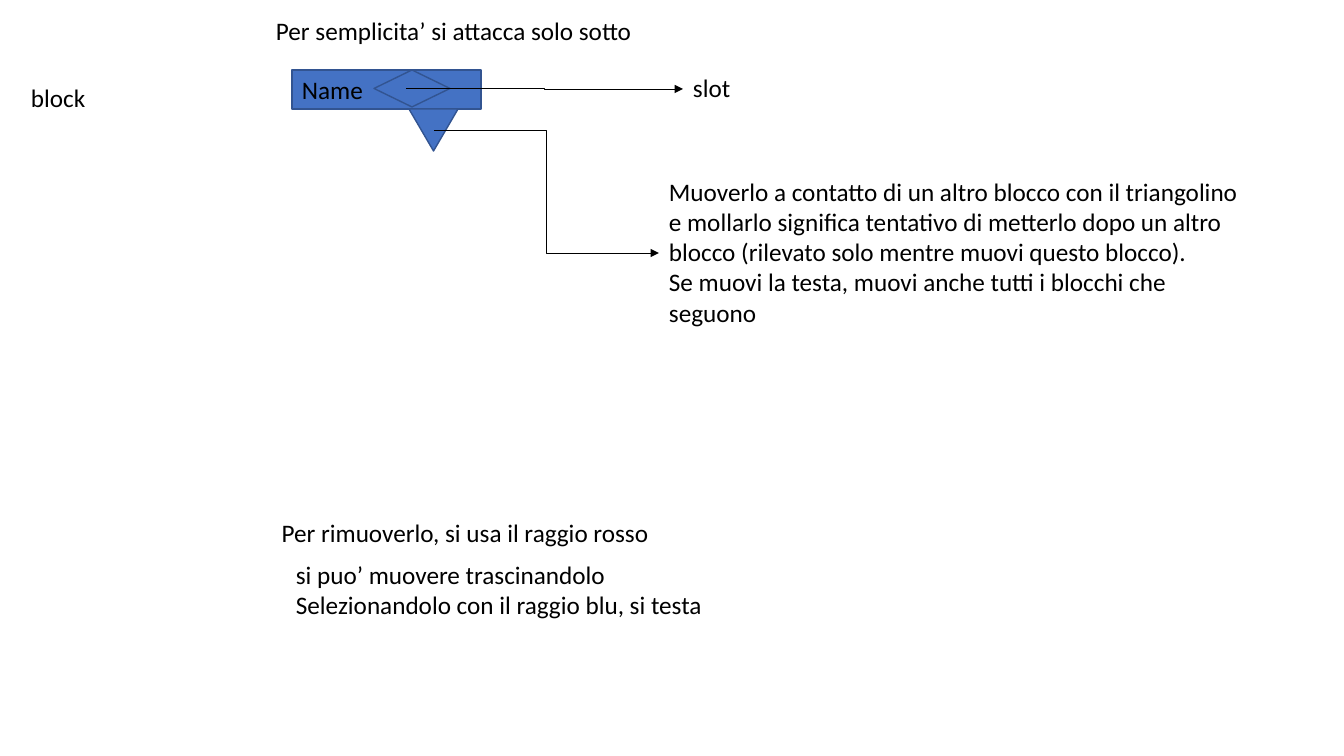
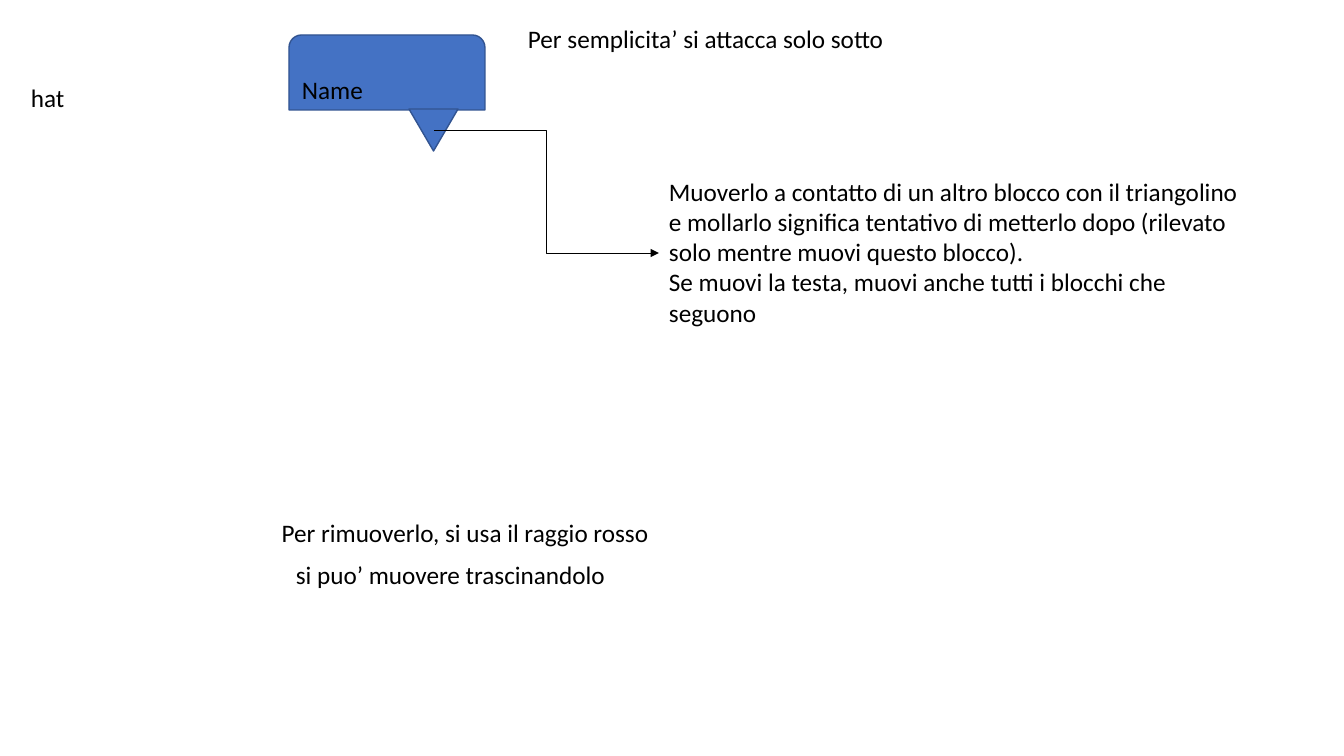
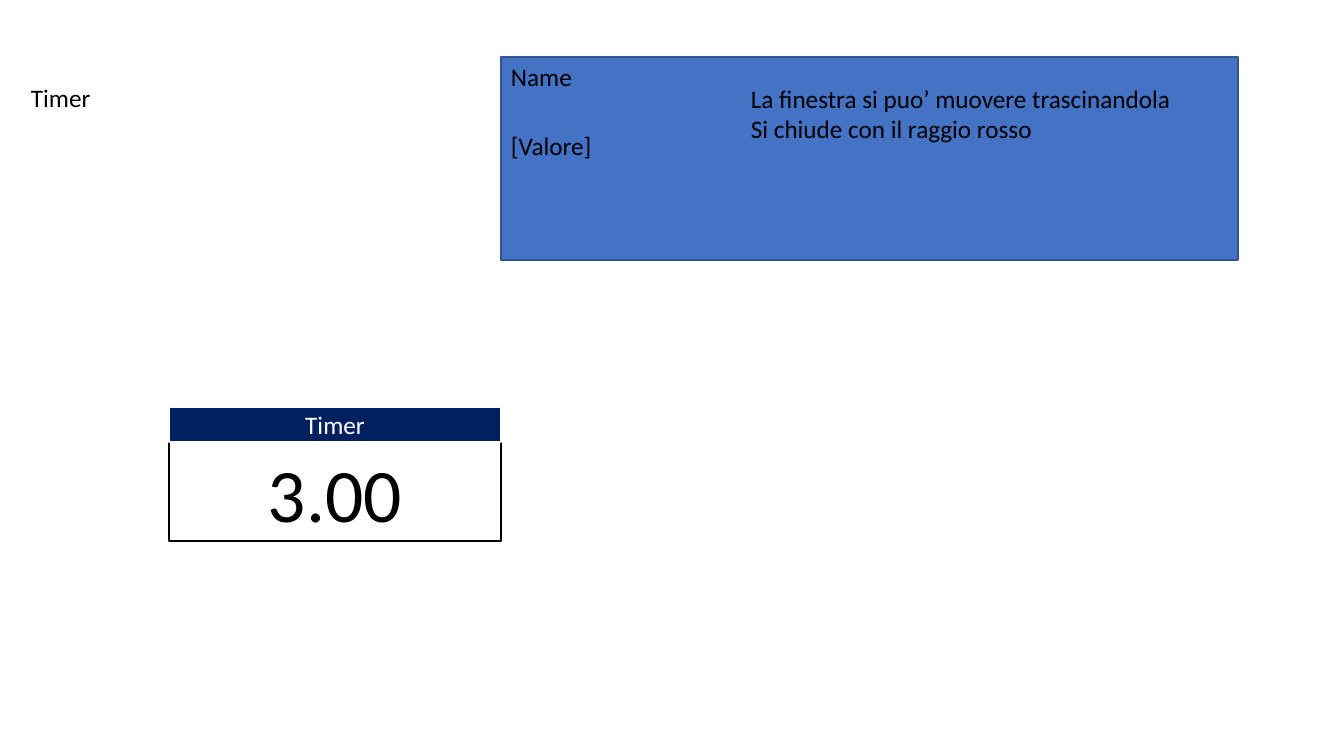
from lxml import etree
from pptx import Presentation
from pptx.dml.color import RGBColor
from pptx.enum.shapes import MSO_CONNECTOR, MSO_SHAPE
from pptx.enum.text import MSO_ANCHOR, MSO_AUTO_SIZE, PP_ALIGN
from pptx.oxml.ns import qn
from pptx.util import Pt

RECTANGLE = MSO_SHAPE.RECTANGLE
ROUNDED_TOP = MSO_SHAPE.ROUND_2_SAME_RECTANGLE
TRIANGLE = MSO_SHAPE.ISOSCELES_TRIANGLE
DIAMOND = MSO_SHAPE.DIAMOND
ELBOW = MSO_CONNECTOR.ELBOW
LEFT, CENTER = PP_ALIGN.LEFT, PP_ALIGN.CENTER
MIDDLE = MSO_ANCHOR.MIDDLE
GROW = MSO_AUTO_SIZE.SHAPE_TO_FIT_TEXT

SLIDE_WIDTH, SLIDE_HEIGHT = 1344, 756
SCALE = 914400 / 100.8
FONT = "Calibri"
BODY_SIZE = 18
LINE_HEIGHT = 40
NOTE_WIDTH = 600
COLORS = {
    "block": "4472C4",
    "block_edge": "325491",
    "header": "002060",
    "black": "000000",
    "white": "FFFFFF",
}

ONLY_BELOW = "Per semplicita’ si attacca solo sotto"
REMOVE = " Per rimuoverlo, si usa il raggio rosso"
DRAG = "si puo’ muovere trascinandolo"
MOVE_HEAD = "Se muovi la testa, muovi anche tutti i blocchi che seguono"


def emu(*pixels):
    """Convert pixel lengths to EMU."""
    return [round(length * SCALE) for length in pixels]


def rgb(name):
    """Look up a palette colour."""
    return RGBColor.from_string(COLORS[name])


def write(frame, lines, size=BODY_SIZE, color="black", align=LEFT):
    """Fill a text frame with one paragraph per line."""
    frame.word_wrap = True
    for index, line in enumerate(lines):
        paragraph = frame.paragraphs[0] if index == 0 else frame.add_paragraph()
        paragraph.text = line
        paragraph.alignment = align
        paragraph.font.name = FONT
        paragraph.font.size = Pt(size)
        paragraph.font.color.rgb = rgb(color)


def add_text(slide, box, *lines, **style):
    """Add a text box that grows with its lines."""
    frame = slide.shapes.add_textbox(*emu(*box)).text_frame
    write(frame, lines, **style)
    frame.auto_size = GROW


def add_figure(slide, kind, box, fill="block", edge="block_edge"):
    """Add a flat outlined preset shape."""
    figure = slide.shapes.add_shape(kind, *emu(*box))
    figure.shadow.inherit = False
    figure.fill.solid()
    figure.fill.fore_color.rgb = rgb(fill)
    figure.line.color.rgb = rgb(edge)
    figure.line.width = Pt(1)
    return figure


def add_arrow(slide, start, end):
    """Add a thin elbow arrow from start to end."""
    arrow = slide.shapes.add_connector(ELBOW, *emu(*start, *end))
    arrow.line.color.rgb = rgb("black")
    arrow.line.width = Pt(0.5)
    properties = arrow.element.spPr
    etree.SubElement(properties.find(qn("a:ln")), qn("a:tailEnd"), type="triangle")
    etree.SubElement(properties, qn("a:effectLst"))


def add_topic(slide, topic):
    """Add the topic label at the left edge."""
    add_text(slide, (21, 77, 155, LINE_HEIGHT), topic)


def add_name(slide, left, top):
    """Add the name label of a block or window."""
    add_text(slide, (left, top, 114, LINE_HEIGHT), "Name")


def add_block_notes(slide, topic, contact, *handling):
    """Add the name, attachment triangle and notes that blocks share."""
    add_name(slide, 292, 69)
    add_topic(slide, topic)
    attachment = add_figure(slide, TRIANGLE, (409, 109, 49, 42))
    attachment.rotation = 180
    add_arrow(slide, (434, 130), (659, 253))
    add_text(slide, (659, 171, NOTE_WIDTH, 163), contact, MOVE_HEAD)
    add_text(slide, (266, 512, NOTE_WIDTH, LINE_HEIGHT), REMOVE)
    handling_height = LINE_HEIGHT + 31 * (len(handling) - 1)
    add_text(slide, (286, 554, 447, handling_height), *handling)


def build_block(slide):
    """Describe a block with a slot."""
    add_figure(slide, RECTANGLE, (292, 70, 189, 39))
    add_text(slide, (266, 10, NOTE_WIDTH, LINE_HEIGHT), ONLY_BELOW)
    add_block_notes(
        slide,
        "block",
        "Muoverlo a contatto di un altro blocco con il triangolino e mollarlo "
        "significa tentativo di metterlo dopo un altro blocco "
        "(rilevato solo mentre muovi questo blocco).",
        DRAG,
        "Selezionandolo con il raggio blu, si testa",
    )
    add_figure(slide, DIAMOND, (374, 70, 76, 37))
    add_arrow(slide, (406, 88), (683, 89))
    add_text(slide, (683, 67, NOTE_WIDTH, LINE_HEIGHT), "slot")


def build_hat(slide):
    """Describe a hat block."""
    add_figure(slide, ROUNDED_TOP, (289, 35, 196, 75))
    add_text(slide, (518, 18, NOTE_WIDTH, LINE_HEIGHT), ONLY_BELOW)
    add_block_notes(
        slide,
        "hat",
        "Muoverlo a contatto di un altro blocco con il triangolino e mollarlo "
        "significa tentativo di metterlo dopo "
        "(rilevato solo mentre muovi questo blocco).",
        DRAG,
    )


def build_timer(slide):
    """Describe the timer window and show a sample."""
    add_figure(slide, RECTANGLE, (501, 57, 737, 203))
    add_name(slide, 501, 56)
    add_text(slide, (501, 125, 366, LINE_HEIGHT), "[Valore]")
    add_topic(slide, "Timer")
    add_text(
        slide,
        (741, 78, 447, 71),
        "La finestra si puo’ muovere trascinandola",
        "Si chiude con il raggio rosso",
    )

    left, top, width, header_height = 169, 407, 332, 35
    add_figure(slide, RECTANGLE, (left, top, width, 134), "white", "black")
    header = add_figure(
        slide, RECTANGLE, (left, top, width, header_height), "header", "white"
    )
    header.text_frame.vertical_anchor = MIDDLE
    write(header.text_frame, ["Timer"], color="white", align=CENTER)
    value_box = (left, top + header_height, width, 102)
    add_text(slide, value_box, "3.00", size=54, align=CENTER)


def main():
    """Build and save the presentation."""
    deck = Presentation()
    deck.slide_width, deck.slide_height = emu(SLIDE_WIDTH, SLIDE_HEIGHT)
    blank = deck.slide_layouts[6]
    for build in (build_block, build_hat, build_timer):
        build(deck.slides.add_slide(blank))
    deck.save("out.pptx")


main()
